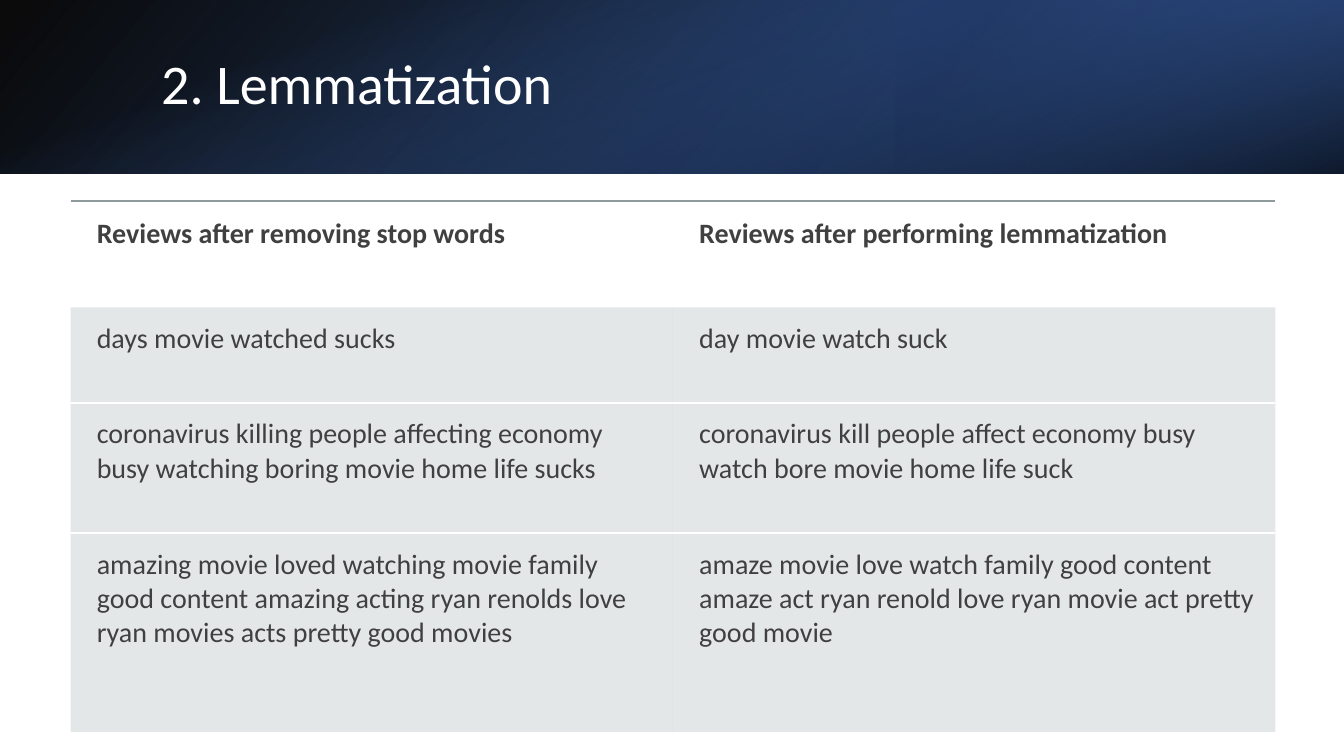
from lxml import etree
from pptx import Presentation, util as u
from pptx.dml.color import RGBColor
from pptx.enum import shapes, text
from pptx.oxml.ns import qn

WIDE, HIGH = 13.33, 7.5
BAND = 0.23 * HIGH
FONT = "Calibri"
INK, WHITE, RULE, TINT = "404040", "FFFFFF", "8F9A9D", "B4BCBE"
ROWS = [
    ("Reviews after removing stop words",
     "Reviews after performing lemmatization"),
    ("days movie watched sucks",
     "day movie watch suck"),
    ("coronavirus killing people affecting economy busy watching boring movie home life sucks",
     "coronavirus kill people affect economy busy watch bore movie home life suck"),
    ("amazing movie loved watching movie family good content amazing acting ryan renolds love ryan movies acts pretty good movies",
     "amaze movie love watch family good content amaze act ryan renold love ryan movie act pretty good movie "),
]
TALL = [1.06, 0.95, 1.29, 1.97]


def color(code):
    return RGBColor.from_string(code)


def node(parent, tag, **attrs):
    item = etree.SubElement(parent, qn("a:" + tag))
    for name, value in attrs.items():
        item.set(name, str(value))
    return item


def paint(parent, code, alpha=100):
    tone = node(parent, "srgbClr", val=code)
    if alpha < 100:
        node(tone, "alpha", val=alpha * 1000)


def write(frame, words, size=20, ink=INK, bold=False, space=None):
    frame.word_wrap = True
    para = frame.paragraphs[0]
    para.line_spacing = space
    run = para.add_run()
    run.text = words
    font = run.font
    font.name, font.size, font.bold = FONT, u.Pt(size), bold
    font.color.rgb = color(ink)


def blend(slide, box, stops, angle, turn=0, flip=False):
    shape = slide.shapes.add_shape(
        shapes.MSO_SHAPE.RECTANGLE, *[u.Inches(n) for n in box])
    shape.shadow.inherit = False
    shape.line.fill.background()
    shape.fill.background()
    shape.rotation = turn
    props = shape.element.spPr
    if flip:
        props.find(qn("a:xfrm")).set("flipH", "1")
    fill = etree.Element(qn("a:gradFill"), rotWithShape="1")
    marks = node(fill, "gsLst")
    for place, code, alpha in stops:
        paint(node(marks, "gs", pos=place * 1000), code, alpha)
    node(fill, "lin", ang=angle * 60000, scaled=0)
    props.replace(props.find(qn("a:noFill")), fill)


def header(slide):
    blend(slide, (0, 0, WIDE, BAND),
          [(0, "000000", 96), (100, "2F5597", 100)], 140, flip=True)
    blend(slide, (WIDE * 2 / 3, 0, WIDE / 3, BAND),
          [(19, "203864", 68), (100, "4472C4", 79)], 320, turn=180, flip=True)
    blend(slide, ((WIDE - BAND) / 2, (BAND - WIDE) / 2, BAND, WIDE),
          [(23, "4472C4", 0), (99, "000000", 74)], 340, turn=90)


def title(slide, words):
    box = slide.shapes.add_textbox(
        *[u.Inches(n) for n in (1.5, 0.38, 10.98, 0.96)])
    box.text_frame.vertical_anchor = text.MSO_ANCHOR.MIDDLE
    write(box.text_frame, words, size=40, ink=WHITE, space=0.9)


def edge(props, side, code=None, alpha=100):
    line = node(props, "ln" + side, w=u.Pt(1.5) if code else 0)
    if code:
        paint(node(line, "solidFill"), code, alpha)
    else:
        node(line, "noFill")


def style(cell, row):
    pad = 0.14 if row else 0.16
    cell.margin_left = u.Inches(0.26)
    cell.margin_right = cell.margin_top = cell.margin_bottom = u.Inches(pad)
    props = cell._tc.get_or_add_tcPr()
    edge(props, "L")
    edge(props, "R")
    if row == 0:
        edge(props, "T", RULE, 60)
    else:
        edge(props, "T", WHITE if row > 1 else None)
    edge(props, "B", WHITE if 0 < row < len(ROWS) - 1 else None)
    if row:
        paint(node(props, "solidFill"), TINT, 35)
    else:
        node(props, "noFill")


def grid(slide):
    table = slide.shapes.add_table(
        len(ROWS), 2, u.Inches(0.7), u.Inches(1.99),
        u.Inches(11.95), u.Inches(sum(TALL))).table
    table.first_row = table.horz_banding = False
    for row, (pair, tall) in enumerate(zip(ROWS, TALL)):
        table.rows[row].height = u.Inches(tall)
        for col, words in enumerate(pair):
            cell = table.cell(row, col)
            write(cell.text_frame, words, bold=row == 0)
            style(cell, row)


def main():
    deck = Presentation()
    deck.slide_width, deck.slide_height = u.Inches(WIDE), u.Inches(HIGH)
    slide = deck.slides.add_slide(deck.slide_layouts[6])
    header(slide)
    title(slide, "2. Lemmatization ")
    grid(slide)
    deck.save("out.pptx")


main()
